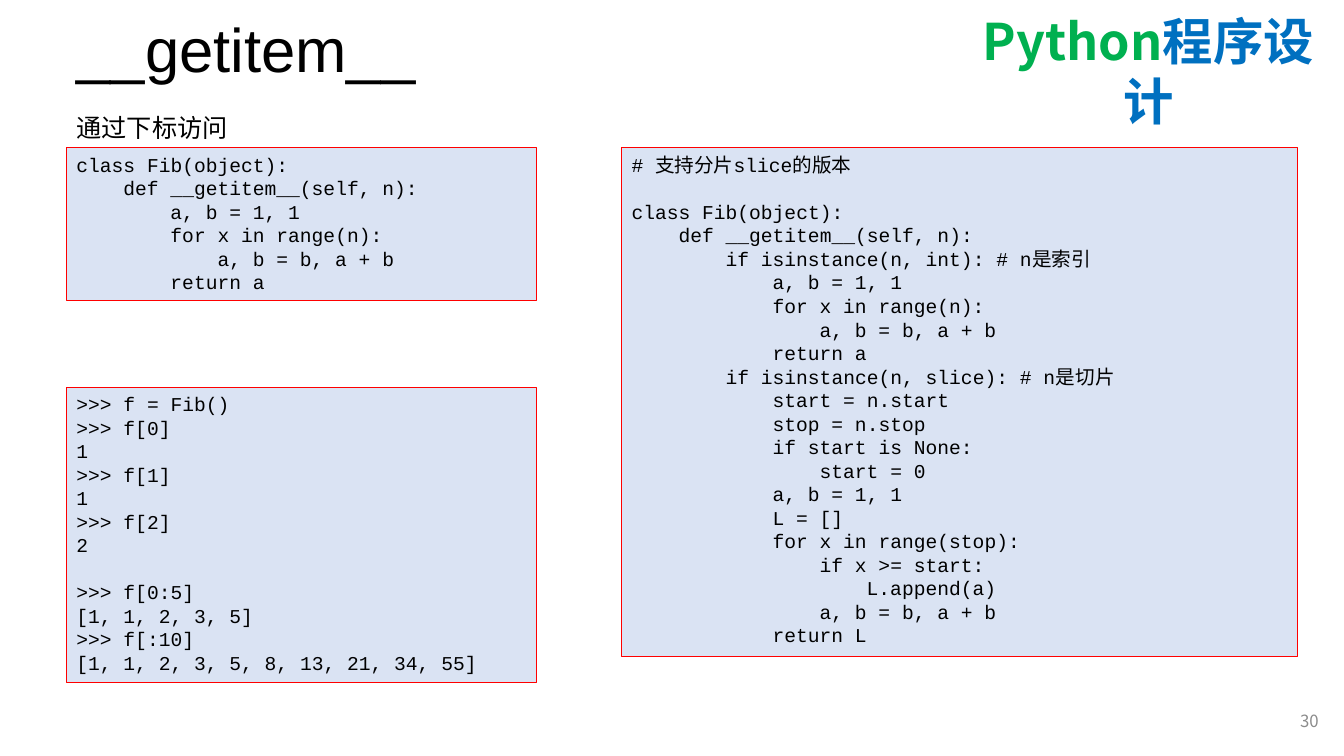
from dataclasses import dataclass

from lxml.etree import SubElement
from pptx import Presentation
from pptx.dml.color import RGBColor as RGB
from pptx.enum.shapes import MSO_SHAPE as Shape
from pptx.enum.text import MSO_ANCHOR as Anchor, MSO_AUTO_SIZE as AutoSize, PP_ALIGN as Align
from pptx.oxml.ns import qn
from pptx.util import Pt


@dataclass(frozen=True)
class Theme:
    ink: str = "000000"
    python_green: str = "00B050"
    course_blue: str = "0070C0"
    page_grey: str = "8C8C8C"
    panel: str = "DAE3F3"
    border: str = "FF0000"
    halo: str = "FFFFFF"
    title_font: str = "Arial"
    code_font: str = "Courier New"
    cjk_font: str = "Noto Sans CJK SC"
    course_size: float = 36
    title_size: float = 44
    lead_size: float = 18
    code_size: float = 14
    page_size: float = 12
    line_ratio: float = 1.2
    char_ratio: float = 0.6  # advance of one monospaced character


THEME = Theme()


@dataclass(frozen=True)
class Box:
    left: float
    top: float
    width: float
    height: float

    def lengths(self):
        return Pt(self.left), Pt(self.top), Pt(self.width), Pt(self.height)


@dataclass(frozen=True)
class CodePanel:
    box: Box
    code: str


FIB_INDEX = """
class Fib(object):
    def __getitem__(self, n):
        a, b = 1, 1
        for x in range(n):
            a, b = b, a + b
        return a
"""

FIB_SESSION = """
>>> f = Fib()
>>> f[0]
1
>>> f[1]
1
>>> f[2]
2

>>> f[0:5]
[1, 1, 2, 3, 5]
>>> f[:10]
[1, 1, 2, 3, 5, 8, 13, 21, 34, 55]
"""

FIB_SLICE = """
# 支持分片slice的版本

class Fib(object):
    def __getitem__(self, n):
        if isinstance(n, int): # n是索引
            a, b = 1, 1
            for x in range(n):
                a, b = b, a + b
            return a
        if isinstance(n, slice): # n是切片
            start = n.start
            stop = n.stop
            if start is None:
                start = 0
            a, b = 1, 1
            L = []
            for x in range(stop):
                if x >= start:
                    L.append(a)
                a, b = b, a + b
            return L
"""

PANELS = [
    CodePanel(Box(47.5, 105.5, 335.5, 109), FIB_INDEX),
    CodePanel(Box(47.5, 276.5, 335.5, 211), FIB_SESSION),
    CodePanel(Box(444, 105.5, 483, 363.5), FIB_SLICE),
]


def write(paragraph, text: str, *, size: float, color: str = THEME.ink,
          font: str = THEME.cjk_font, bold: bool = False, align=Align.LEFT,
          spacing=None, halo: bool = False) -> None:
    """Add one formatted run; spacing defaults to a fixed line height."""
    paragraph.alignment = align
    paragraph.line_spacing = spacing or Pt(size * THEME.line_ratio)
    run = paragraph.add_run()
    run.text = text
    run.font.size = Pt(size)
    run.font.bold = bold
    run.font.name = font
    run.font.color.rgb = RGB.from_string(color)
    properties = run.font._element
    SubElement(properties, qn("a:ea")).set("typeface", THEME.cjk_font)
    if halo:
        outline = SubElement(properties, qn("a:ln"), w=str(Pt(0.75)))
        fill = SubElement(outline, qn("a:solidFill"))
        SubElement(fill, qn("a:srgbClr")).set("val", THEME.halo)
        properties.insert(0, outline)


def add_text_frame(slide, box: Box, anchor=Anchor.TOP):
    frame = slide.shapes.add_textbox(*box.lengths()).text_frame
    frame.word_wrap = True
    frame.vertical_anchor = anchor
    return frame


def add_code_panel(slide, panel: CodePanel) -> None:
    rectangle = slide.shapes.add_shape(Shape.RECTANGLE, *panel.box.lengths())
    rectangle.shadow.inherit = False
    rectangle.fill.solid()
    rectangle.fill.fore_color.rgb = RGB.from_string(THEME.panel)
    rectangle.line.color.rgb = RGB.from_string(THEME.border)
    rectangle.line.width = Pt(0.75)
    frame = rectangle.text_frame
    frame.word_wrap = True
    frame.vertical_anchor = Anchor.TOP

    # Leading spaces become indents, empty lines become space before
    paragraph, gap = frame.paragraphs[0], 0
    for number, line in enumerate(panel.code.strip().splitlines()):
        if not line:
            gap += THEME.code_size * THEME.line_ratio
            continue
        if number:
            paragraph = frame.add_paragraph()
        statement = line.lstrip()
        indent = (len(line) - len(statement)) * THEME.code_size * THEME.char_ratio
        write(paragraph, statement, size=THEME.code_size, font=THEME.code_font)
        paragraph.space_before = Pt(gap)
        paragraph._p.get_or_add_pPr().set("marL", str(Pt(indent)))
        gap = 0


def main() -> None:
    deck = Presentation()
    deck.slide_width, deck.slide_height = Pt(960), Pt(540)
    slide = deck.slides.add_slide(deck.slide_layouts[5])

    # Course name
    course = add_text_frame(slide, Box(682, 0, 276.5, 51))
    course.margin_top = Pt(7)
    for word, color in (("Python", THEME.python_green), ("程序设计", THEME.course_blue)):
        write(course.paragraphs[0], word, size=THEME.course_size, color=color,
              bold=True, align=Align.CENTER, halo=True)

    # Title
    title = slide.shapes.title
    title.left, title.top, title.width, title.height = Box(47.5, 0, 828, 75.5).lengths()
    title.text_frame.auto_size = AutoSize.NONE
    title.text_frame.vertical_anchor = Anchor.MIDDLE
    write(title.text_frame.paragraphs[0], "__getitem__", size=THEME.title_size,
          font=THEME.title_font, spacing=0.9)

    # Lead line
    lead = add_text_frame(slide, Box(47.5, 76.5, 871, 29))
    write(lead.paragraphs[0], "通过下标访问", size=THEME.lead_size)

    # Code
    for panel in PANELS:
        add_code_panel(slide, panel)

    # Page number
    page = add_text_frame(slide, Box(733, 500.5, 216, 29), Anchor.MIDDLE)
    write(page.paragraphs[0], "30", size=THEME.page_size, color=THEME.page_grey,
          align=Align.RIGHT)

    deck.save("out.pptx")


if __name__ == "__main__":
    main()
